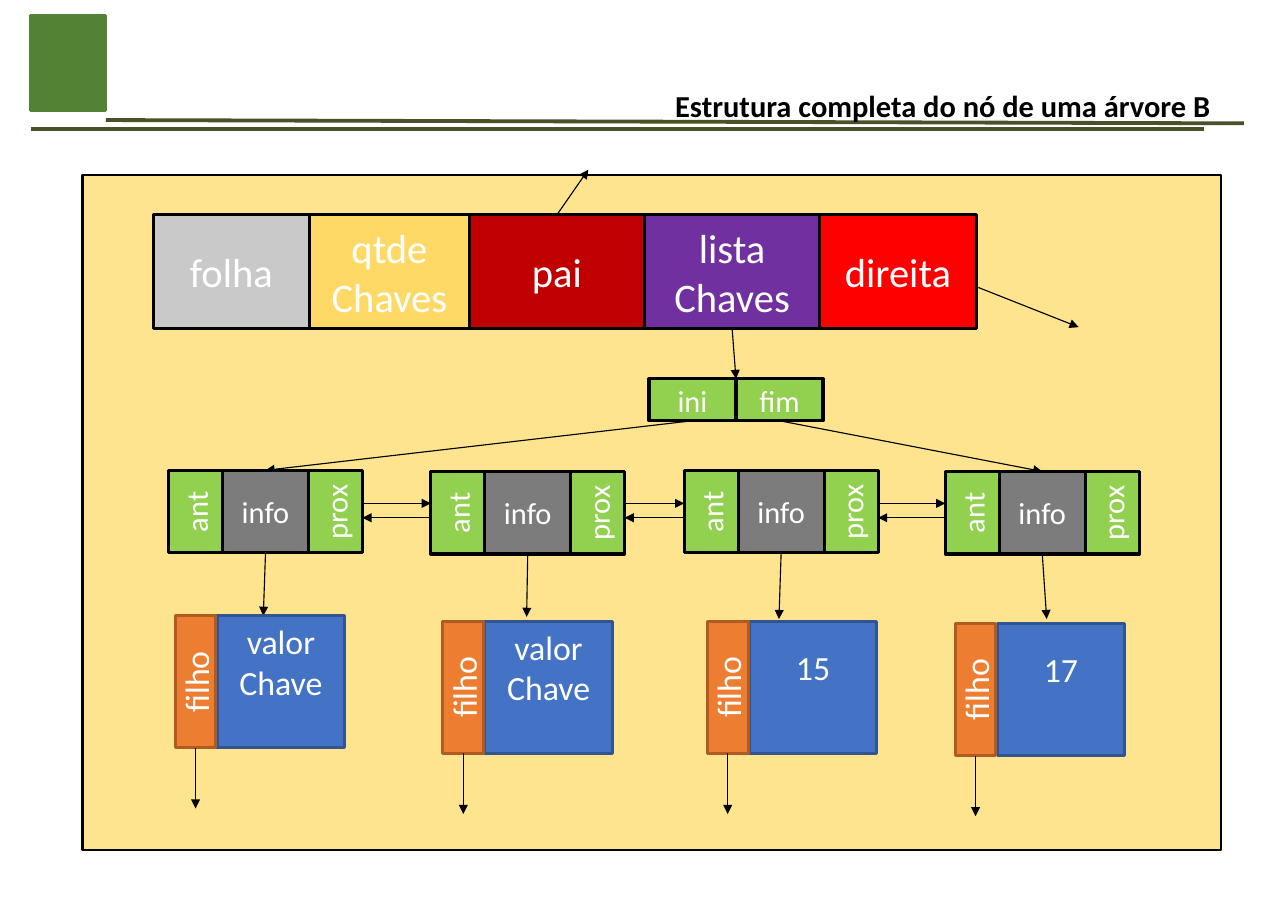
from itertools import pairwise
from lxml.etree import SubElement
from pptx import Presentation
from pptx.dml.color import RGBColor
from pptx.enum.shapes import MSO_CONNECTOR, MSO_SHAPE
from pptx.enum.text import MSO_ANCHOR, PP_ALIGN
from pptx.oxml.ns import qn
from pptx.util import Inches, Pt

BLACK = RGBColor(0x00, 0x00, 0x00)
WHITE = RGBColor(0xFF, 0xFF, 0xFF)
LOGO_GREEN = RGBColor(0x54, 0x82, 0x35)
OLIVE = RGBColor(0x48, 0x52, 0x28)
CREAM = RGBColor(0xFF, 0xE4, 0x8F)
SILVER = RGBColor(0xC9, 0xC9, 0xC9)
GOLD = RGBColor(0xFF, 0xD9, 0x66)
DARK_RED = RGBColor(0xC0, 0x00, 0x00)
PURPLE = RGBColor(0x70, 0x30, 0xA0)
RED = RGBColor(0xFF, 0x00, 0x00)
LIME = RGBColor(0x92, 0xD0, 0x50)
GRAY = RGBColor(0x7C, 0x7C, 0x7C)
BLUE = RGBColor(0x44, 0x72, 0xC4)
DARK_BLUE = RGBColor(0x32, 0x54, 0x91)
ORANGE = RGBColor(0xED, 0x7D, 0x31)
BROWN = RGBColor(0xAF, 0x5C, 0x24)

TOP, LEFT, BOTTOM, RIGHT = range(4)

TITLE = "Estrutura completa do nó de uma árvore B"
HEADER_LINES = [((0.96, 1.09), (11.29, 1.12)), ((0.28, 1.17), (10.93, 1.17))]
FIELDS = [
    ("folha", 1.42, SILVER),
    ("qtde\nChaves", 1.45, GOLD),
    ("pai", 1.59, DARK_RED),
    ("lista\nChaves", 1.59, PURPLE),
    ("direita", 1.42, RED),
]
NODES = [(1.53, 4.27), (3.91, 4.28), (6.21, 4.27), (8.58, 4.28)]
KEYS = [
    ("valor\nChave", 1.59, 5.59),
    ("valor\nChave", 4.02, 5.64),
    ("15", 6.42, 5.64),
    ("17", 8.67, 5.66),
]
INFO_ARROW_ENDS = [(2.39, 5.59), (4.78, 5.6), (7.07, 5.62), (9.5, 5.62)]
FIELD_LEFT, FIELD_TOP, FIELD_HEIGHT = 1.39, 1.95, 1.03
LIST_LEFT, LIST_TOP, LIST_WIDTH, LIST_HEIGHT = 5.89, 3.44, 0.79, 0.38
LINK_WIDTH, INFO_WIDTH, NODE_HEIGHT = 0.49, 0.78, 0.75
NODE_WIDTH = 2 * LINK_WIDTH + INFO_WIDTH
CHILD_WIDTH, KEY_WIDTH, KEY_HEIGHT, KEY_OFFSET = 0.37, 1.16, 1.2, 0.38
CHILD_ARROW = 0.55
NEXT_Y, PREVIOUS_Y = 4.57, 4.7

deck = Presentation()
deck.slide_width, deck.slide_height = Inches(11.69), Inches(8.27)
page = deck.slides.add_slide(deck.slide_layouts[6])


def write(box, text, size=19.9, color=WHITE, bold=False,
          align=PP_ALIGN.CENTER, upward=False, bottom=0.05):
    frame = box.text_frame
    frame.word_wrap = True
    frame.vertical_anchor = MSO_ANCHOR.MIDDLE
    frame.margin_bottom = Inches(bottom)
    if upward:
        frame._txBody.bodyPr.set("vert", "vert270")
    for index, line in enumerate(text.split("\n")):
        para = frame.add_paragraph() if index else frame.paragraphs[0]
        para.alignment = align
        span = para.add_run()
        span.text = line
        span.font.name = "Calibri"
        span.font.size = Pt(size)
        span.font.bold = bold
        span.font.color.rgb = color


def block(left, top, width, height, fill, outline=BLACK, weight=2):
    box = page.shapes.add_shape(MSO_SHAPE.RECTANGLE, Inches(left), Inches(top),
                                Inches(width), Inches(height))
    box.shadow.inherit = False
    box.fill.solid()
    box.fill.fore_color.rgb = fill
    box.line.color.rgb = outline
    box.line.width = Pt(weight)
    return box


def stroke(start, end, color=BLACK, weight=0.75, arrow=True):
    line = page.shapes.add_connector(MSO_CONNECTOR.STRAIGHT, *map(Inches, start + end))
    line.line.color.rgb = color
    line.line.width = Pt(weight)
    if arrow:
        SubElement(line.line._get_or_add_ln(), qn("a:tailEnd"), type="triangle")
    SubElement(line._element.spPr, qn("a:effectLst"))
    return line


def draw_header():
    block(0.28, 0.14, 0.68, 0.86, LOGO_GREEN, LOGO_GREEN)
    for start, end in HEADER_LINES:
        stroke(start, end, OLIVE, 2.5, arrow=False)
    title = page.shapes.add_textbox(Inches(4.35), Inches(0.74), Inches(6.74), Inches(0.43))
    write(title, TITLE, color=BLACK, bold=True, align=PP_ALIGN.RIGHT)


def draw_fields():
    boxes = {}
    left = FIELD_LEFT
    for name, width, fill in FIELDS:
        boxes[name] = block(left, FIELD_TOP, width, FIELD_HEIGHT, fill)
        write(boxes[name], name, size=26.5)
        left += width
    stroke((5.05, FIELD_TOP), (5.34, 1.54)).begin_connect(boxes["pai"], TOP)
    stroke((6.64, 2.98), (6.68, LIST_TOP)).begin_connect(boxes["lista\nChaves"], BOTTOM)
    stroke((8.88, 2.61), (9.79, 2.97))


def draw_list_ends():
    arrows = []
    for index, (name, target) in enumerate((("ini", NODES[0]), ("fim", NODES[-1]))):
        left = LIST_LEFT + index * LIST_WIDTH
        box = block(left, LIST_TOP, LIST_WIDTH, LIST_HEIGHT, LIME)
        write(box, name)
        arrow = stroke((left + LIST_WIDTH / 2, LIST_TOP + LIST_HEIGHT),
                       (target[0] + NODE_WIDTH / 2, target[1]))
        arrow.begin_connect(box, BOTTOM)
        arrows.append(arrow)
    return arrows


def draw_node(left, top, arrow_end):
    info_left = left + LINK_WIDTH
    info = block(info_left, top, INFO_WIDTH, NODE_HEIGHT, GRAY)
    write(info, "info")
    for name, link_left in (("ant", left), ("prox", info_left + INFO_WIDTH)):
        write(block(link_left, top, LINK_WIDTH, NODE_HEIGHT, LIME), name, upward=True)
    start = (info_left + INFO_WIDTH / 2, top + NODE_HEIGHT)
    stroke(start, arrow_end).begin_connect(info, BOTTOM)
    return info


def draw_key(text, left, top):
    key = block(left + KEY_OFFSET, top, KEY_WIDTH, KEY_HEIGHT, BLUE, DARK_BLUE)
    write(key, text, size=22.1, bottom=0.42)
    child = block(left, top, CHILD_WIDTH, KEY_HEIGHT, ORANGE, BROWN)
    write(child, "filho", size=22.1, upward=True)
    center, bottom = left + CHILD_WIDTH / 2, top + KEY_HEIGHT
    stroke((center, bottom), (center, bottom + CHILD_ARROW)).begin_connect(child, BOTTOM)


def main():
    block(0.75, 1.59, 10.33, 6.13, CREAM, weight=1.5)
    draw_header()
    draw_fields()
    first_arrow, last_arrow = draw_list_ends()
    infos = [draw_node(*node, end) for node, end in zip(NODES, INFO_ARROW_ENDS)]
    first_arrow.end_connect(infos[0], TOP)
    last_arrow.end_connect(infos[-1], TOP)
    for (left, _), (following, _) in pairwise(NODES):
        right = left + NODE_WIDTH
        stroke((right, NEXT_Y), (following, NEXT_Y))
        stroke((following, PREVIOUS_Y), (right, PREVIOUS_Y))
    for key in KEYS:
        draw_key(*key)
    deck.save("out.pptx")


if __name__ == "__main__":
    main()
